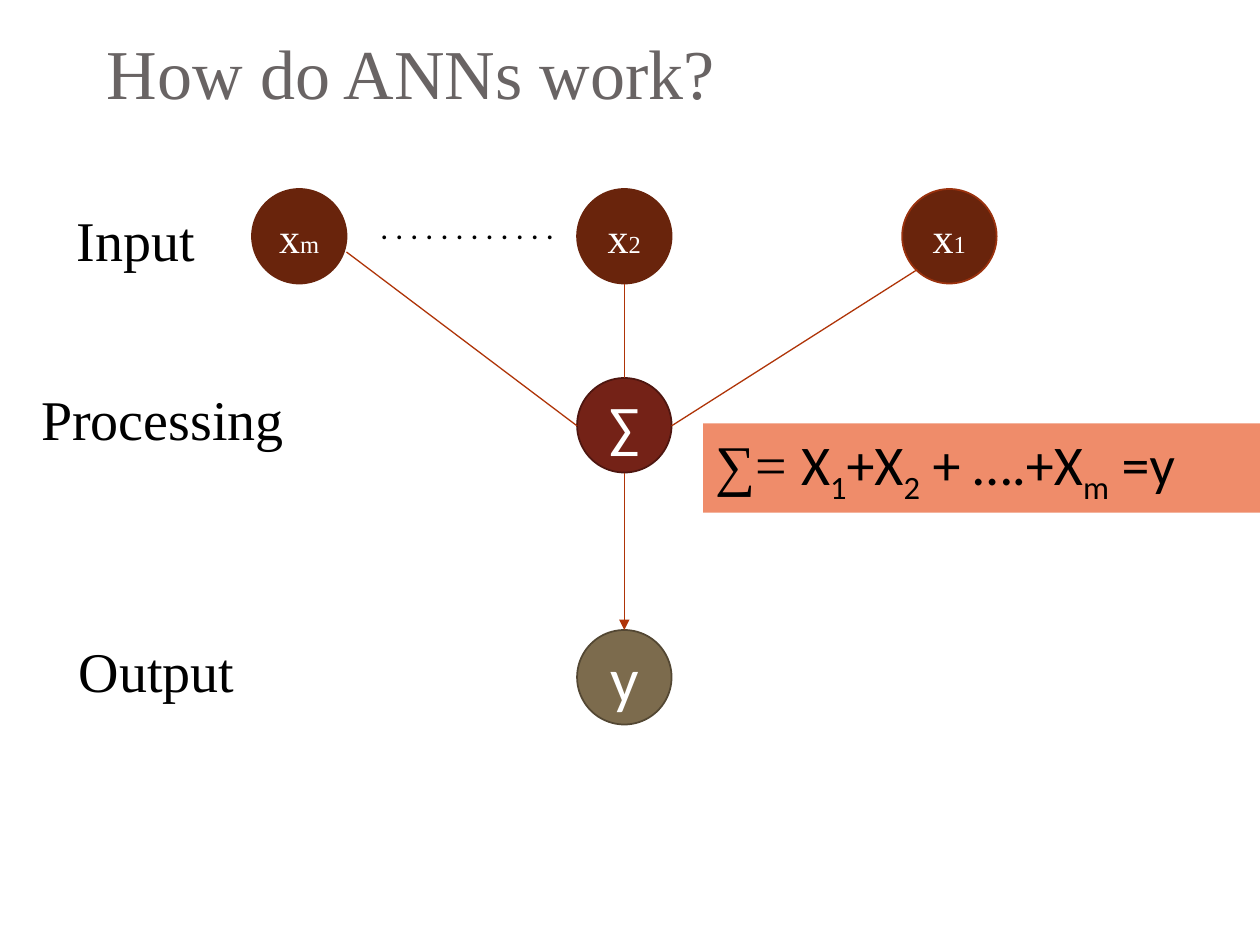
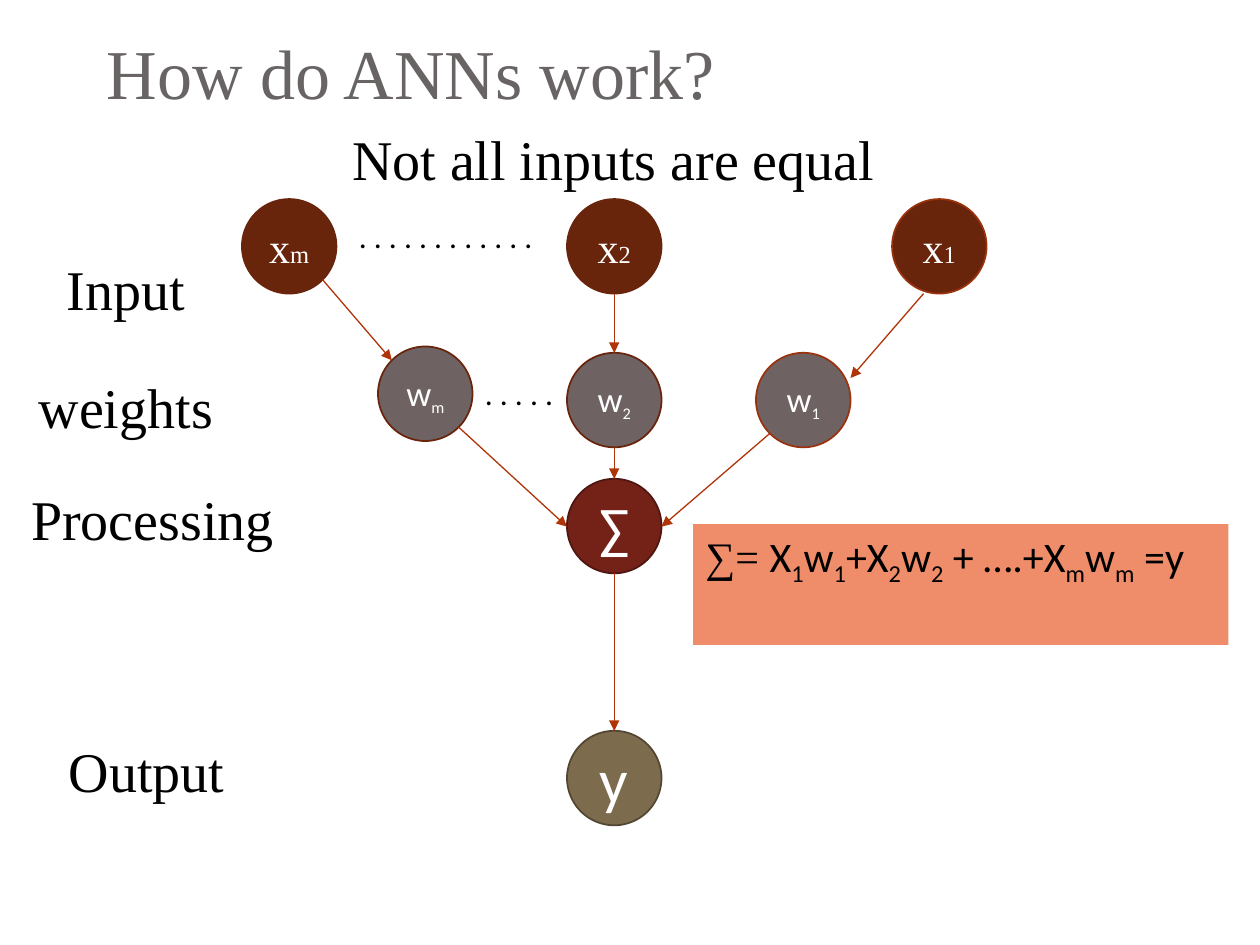
from dataclasses import dataclass
from lxml.etree import SubElement
from pptx import Presentation
from pptx.dml.color import RGBColor
from pptx.enum.shapes import MSO_CONNECTOR, MSO_SHAPE
from pptx.enum.text import MSO_ANCHOR, PP_ALIGN
from pptx.oxml.ns import qn
from pptx.util import Inches, Pt


@dataclass(frozen=True)
class Theme:
    """Colours, fonts and sizes shared by the slides."""
    serif: str = "Times New Roman"
    sans: str = "Calibri"
    title: str = "696464"
    ink: str = "000000"
    white: str = "FFFFFF"
    input: str = "69240C"
    rim: str = "9B320E"
    weight: str = "6E6263"
    sum: str = "742217"
    sumrim: str = "4E1610"
    out: str = "7C6B4D"
    outrim: str = "534733"
    panel: str = "EF8C6A"
    line: str = "AF3408"
    head: int = 40
    body: int = 32
    big: int = 36
    mid: int = 24
    small: int = 20
    dot: int = 18
    lower: int = 16
    index: int = 14


T = Theme()
NODE = 0.75
HALF = NODE / 2
STEP = 2.58
DROP = 2


def color(code):
    """Turn a hex code into a colour."""
    return RGBColor.from_string(code)


def write(shape, text, size, face, ink, align=PP_ALIGN.LEFT, anchor=MSO_ANCHOR.TOP):
    """Put one styled paragraph into a shape and return it."""
    frame = shape.text_frame
    frame.word_wrap = True
    frame.vertical_anchor = anchor
    para = frame.paragraphs[0]
    para.alignment = align
    para.font.size, para.font.name = Pt(size), face
    para.font.color.rgb = color(ink)
    if text:
        para.add_run().text = text
    return para


def lower(run):
    """Make a run subscript."""
    run._r.get_or_add_rPr().set("baseline", "-25000")


def label(slide, box, text, size=T.body, face=T.serif, ink=T.ink,
          align=PP_ALIGN.CENTER, anchor=MSO_ANCHOR.TOP):
    """Add a plain text box and return it."""
    shape = slide.shapes.add_textbox(*map(Inches, box))
    write(shape, text, size, face, ink, align, anchor)
    return shape


def title(slide, box):
    """Add the slide title."""
    shape = label(slide, box, "How do ANNs work?", T.head, ink=T.title,
                  align=PP_ALIGN.LEFT, anchor=MSO_ANCHOR.BOTTOM)
    shape.text_frame.margin_bottom = Inches(0.1)


def dots(slide, box, count):
    """Add a row of dots between nodes."""
    label(slide, box, ". " * count, T.dot, T.sans, align=PP_ALIGN.LEFT)


def node(slide, left, top, text, size, face, fill, rim):
    """Add a round node and return its paragraph."""
    shape = slide.shapes.add_shape(
        MSO_SHAPE.OVAL, *map(Inches, (left, top, NODE, NODE)))
    shape.shadow.inherit = False
    shape.fill.solid()
    shape.fill.fore_color.rgb = color(fill)
    shape.line.color.rgb = color(rim)
    shape.line.width = Pt(1)
    return write(shape, text, size, face, T.white, PP_ALIGN.CENTER, MSO_ANCHOR.MIDDLE)


def link(slide, left, top, start, end, arrow=True):
    """Join two points, given from a corner, with a line."""
    (ax, ay), (bx, by) = start, end
    line = slide.shapes.add_connector(
        MSO_CONNECTOR.STRAIGHT,
        *map(Inches, (left + ax, top + ay, left + bx, top + by)))
    line.line.color.rgb = color(T.line)
    line.line.width = Pt(0.75)
    props = line._element.spPr
    if arrow:
        SubElement(props.find(qn("a:ln")), qn("a:tailEnd"), type="triangle")
    SubElement(props, qn("a:effectLst"))


def inputs(slide, left, top):
    """Add the row of inputs around its middle node."""
    for col, sign in zip((1, 0, -1), "12m"):
        rim = T.rim if sign == "1" else T.input
        para = node(slide, left + col * STEP, top, "x", T.mid, T.serif, T.input, rim)
        run = para.add_run()
        run.text, run.font.size = sign, Pt(T.index)


def weights(slide, left, top):
    """Add the row of weights around its middle node."""
    for col, sign, lift in zip((1, 0, -1), "12m", (0, 0, 0.05)):
        rim = T.rim if sign == "1" else T.input
        para = node(slide, left + col * 1.5, top - lift, "w",
                    T.small, T.sans, T.weight, rim)
        run = para.add_run()
        run.text, run.font.size = sign, Pt(T.lower)
        lower(run)
    dots(slide, (left - NODE, top + 0.12, NODE, 0.7), 5)


def formula(slide, box, parts, size):
    """Add the sum panel, where every second part is subscript."""
    shape = slide.shapes.add_shape(MSO_SHAPE.RECTANGLE, *map(Inches, box))
    shape.shadow.inherit = False
    shape.fill.solid()
    shape.fill.fore_color.rgb = color(T.panel)
    shape.line.fill.background()
    para = write(shape, "∑= ", size, T.sans, T.ink)
    para.runs[0].font.name = T.serif
    for spot, part in enumerate(parts):
        run = para.add_run()
        run.text = part
        if spot % 2:
            lower(run)


def core(slide, left, top):
    """Add the sum, the output and their row labels."""
    edge = left - 4.5
    label(slide, (edge, top, 2.42, 0.64), "Processing")
    label(slide, (edge, top + DROP, 2.33, 0.64), "Output")
    node(slide, left, top, "∑", T.body, T.sans, T.sum, T.sumrim)
    node(slide, left, top + DROP, "y", T.big, T.sans, T.out, T.outrim)
    link(slide, left, top, (HALF, NODE), (HALF, DROP))


def plain(slide, left, top):
    """Build the slide where inputs are summed directly."""
    title(slide, (0.75, 0, 8.5, 1))
    inputs(slide, left, top)
    label(slide, (left - 4.5, top + 0.08, 2, 0.64), "Input")
    dots(slide, (left - 1.66, top + 0.1, 1.58, 0.7), 12)
    core(slide, left, top + 1.5)
    formula(slide, (left + 1, top + 1.86, 4.59, 0.71),
            ("X", "1", "+X", "2", " + ….+X", "m", " =y"), T.body)
    for start, end in (((2.7, 0.64), (NODE, 1.88)),
                       ((HALF, NODE), (HALF, 1.5)),
                       ((-1.83, 0.5), (0, 1.88))):
        link(slide, left, top, start, end, False)


def weighted(slide, left, top):
    """Build the slide where inputs pass through weights."""
    title(slide, (0.75, 0, 8.5, 1))
    label(slide, (left - 2.17, top - 0.64, 5.08, 0.64), "Not all inputs are equal")
    inputs(slide, left, top)
    for drop, name in ((0.39, "Input"), (1.33, "weights")):
        label(slide, (left - 4.5, top + drop, 2, 0.64), name)
    dots(slide, (left - 1.75, top + 0.09, 1.58, 0.7), 12)
    weights(slide, left, top + 1.22)
    core(slide, left, top + 2.22)
    formula(slide, (left + 1, top + 2.58, 4.25, 0.96),
            ("X", "1", "w", "1", "+X", "2", "w", "2",
             " + ….+X", "m", "w", "m", " =y"), T.mid)
    for start, end in (((-1.94, 0.64), (-1.39, 1.28)),
                       ((HALF, NODE), (HALF, 1.22)),
                       ((2.83, NODE), (2.25, 1.42)),
                       ((1.61, 1.86), (NODE, 2.6)),
                       ((HALF, 1.97), (HALF, 2.22)),
                       ((-0.86, 1.81), (0, 2.6))):
        link(slide, left, top, start, end)


def main():
    """Build and save the slides."""
    deck = Presentation()
    deck.slide_width, deck.slide_height = Inches(10), Inches(7.5)
    for build, left, top in ((plain, 4.58, 1.5), (weighted, 4.5, 1.58)):
        build(deck.slides.add_slide(deck.slide_layouts[6]), left, top)
    deck.save("out.pptx")


main()
